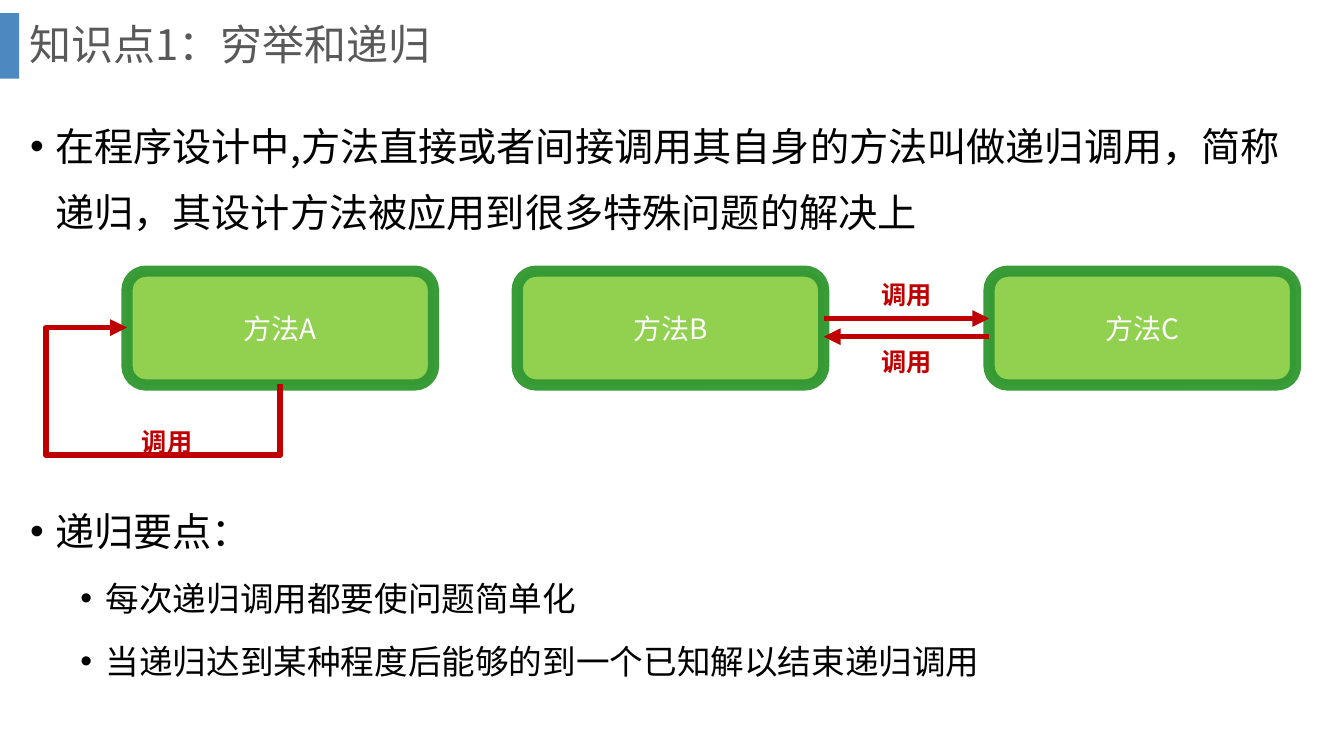
from lxml import etree
from pptx import Presentation
from pptx.dml.color import RGBColor
from pptx.enum import shapes, text
from pptx.oxml import ns
from pptx.util import Inches, Pt

FONT = "Noto Sans CJK SC"
BLUE = RGBColor(0x2E, 0x75, 0xB6)
GRAY = RGBColor(0x59, 0x59, 0x59)
BLACK = RGBColor(0, 0, 0)
WHITE = RGBColor(255, 255, 255)
LIME = RGBColor(0x92, 0xD0, 0x50)
GREEN = RGBColor(0x33, 0x99, 0x33)
RED = RGBColor(0xC0, 0, 0)


def sub(node, tag, **attrs):
    return etree.SubElement(node, ns.qn(tag), attrs)


def write(para, words, size, color, bold=False):
    run = para.add_run()
    run.text = words
    run.font.size = Pt(size)
    run.font.bold = bold
    run.font.name = FONT
    run.font.color.rgb = color
    sub(run.font._element, "a:ea", typeface=FONT)


deck = Presentation()
deck.slide_width, deck.slide_height = Inches(13.33), Inches(7.5)
slide = deck.slides.add_slide(deck.slide_layouts[5])
parts = slide.shapes

# Accent bar and title
bar = parts.add_shape(shapes.MSO_SHAPE.RECTANGLE, 0, Inches(0.13), Inches(0.19), Inches(0.65))
bar.shadow.inherit = False
bar.fill.solid()
bar.fill.fore_color.rgb = BLUE
bar.line.fill.background()
sub(bar._element.spPr.find(".//" + ns.qn("a:srgbClr")), "a:alpha", val="85000")

title = parts.title
title.left, title.top = Inches(0.19), Inches(0)
title.width, title.height = Inches(12.66), Inches(0.93)
title.text_frame.vertical_anchor = text.MSO_ANCHOR.MIDDLE
para = title.text_frame.paragraphs[0]
para.alignment = text.PP_ALIGN.LEFT
para.line_spacing = 0.9
write(para, "知识点1：穷举和递归", 30, GRAY)

# Bulleted text above and below the diagram: (level, words)
blocks = [
    (0.98, 1.6, [(0, "在程序设计中,方法直接或者间接调用其自身的方法叫做递归调用，"
                     "简称递归，其设计方法被应用到很多特殊问题的解决上")]),
    (4.8, 2.14, [(0, "递归要点："),
                 (1, "每次递归调用都要使问题简单化"),
                 (1, "当递归达到某种程度后能够的到一个已知解以结束递归调用")]),
]
for top, height, items in blocks:
    frame = parts.add_textbox(Inches(0.2), Inches(top), Inches(12.9), Inches(height)).text_frame
    frame.word_wrap = True
    for i, (level, words) in enumerate(items):
        para = frame.add_paragraph() if i else frame.paragraphs[0]
        para.level = level
        para.line_spacing = 1.4
        para.space_before = Pt(5 if i else 0)
        props = para._p.get_or_add_pPr()
        props.set("marL", str(Inches(0.25 + 0.5 * level)))
        props.set("indent", str(Inches(-0.25)))
        sub(props, "a:buFont", typeface="Arial")
        sub(props, "a:buChar", char="•")
        write(para, words, 28 - 4 * level, BLACK)

# Method boxes
for name, left in [("A", 1.26), ("B", 5.13), ("C", 9.81)]:
    box = parts.add_shape(shapes.MSO_SHAPE.ROUNDED_RECTANGLE,
                          Inches(left), Inches(2.69), Inches(3.04), Inches(1.13))
    box.shadow.inherit = False
    box.fill.solid()
    box.fill.fore_color.rgb = LIME
    box.line.color.rgb = GREEN
    box.line.width = Pt(8)
    sub(box.line._ln.find(".//" + ns.qn("a:srgbClr")), "a:alpha", val="96000")
    box.text_frame.vertical_anchor = text.MSO_ANCHOR.MIDDLE
    para = box.text_frame.paragraphs[0]
    para.alignment = text.PP_ALIGN.CENTER
    write(para, "方法" + name, 20, WHITE)

# Call arrows: A to itself, B to C, C to B
kinds = shapes.MSO_CONNECTOR
for kind, *ends in [(kinds.ELBOW, 1.74, 2.77, 2.3, 4.29),
                    (kinds.STRAIGHT, 8.17, 3.16, 9.81, 3.16),
                    (kinds.STRAIGHT, 9.81, 3.34, 8.17, 3.34)]:
    arrow = parts.add_connector(kind, *map(Inches, ends))
    arrow.line.color.rgb = RED
    arrow.line.width = Pt(4)
    sub(arrow.line._ln, "a:tailEnd", type="triangle")
    props = arrow._element.spPr
    sub(props, "a:effectLst")
    if kind == kinds.ELBOW:
        # Turn the elbow into a loop that leaves the bottom and enters the left side
        props.xfrm.set("rot", "5400000")
        props.xfrm.set("flipH", "1")
        shape = props.find(ns.qn("a:prstGeom"))
        shape.set("prst", "bentConnector4")
        guides = shape.find(ns.qn("a:avLst"))
        if guides is None:
            guides = sub(shape, "a:avLst")
        for guide, val in [("adj1", -126200), ("adj2", 153000)]:
            sub(guides, "a:gd", name=guide, fmla=f"val {val}")

# Arrow labels
for left, top in [(1.31, 4.18), (8.64, 2.72), (8.64, 3.39)]:
    label = parts.add_textbox(Inches(left), Inches(top), Inches(0.71), Inches(0.4))
    label.text_frame.word_wrap = False
    label.text_frame.auto_size = text.MSO_AUTO_SIZE.SHAPE_TO_FIT_TEXT
    write(label.text_frame.paragraphs[0], "调用", 18, RED, True)

deck.save("out.pptx")
